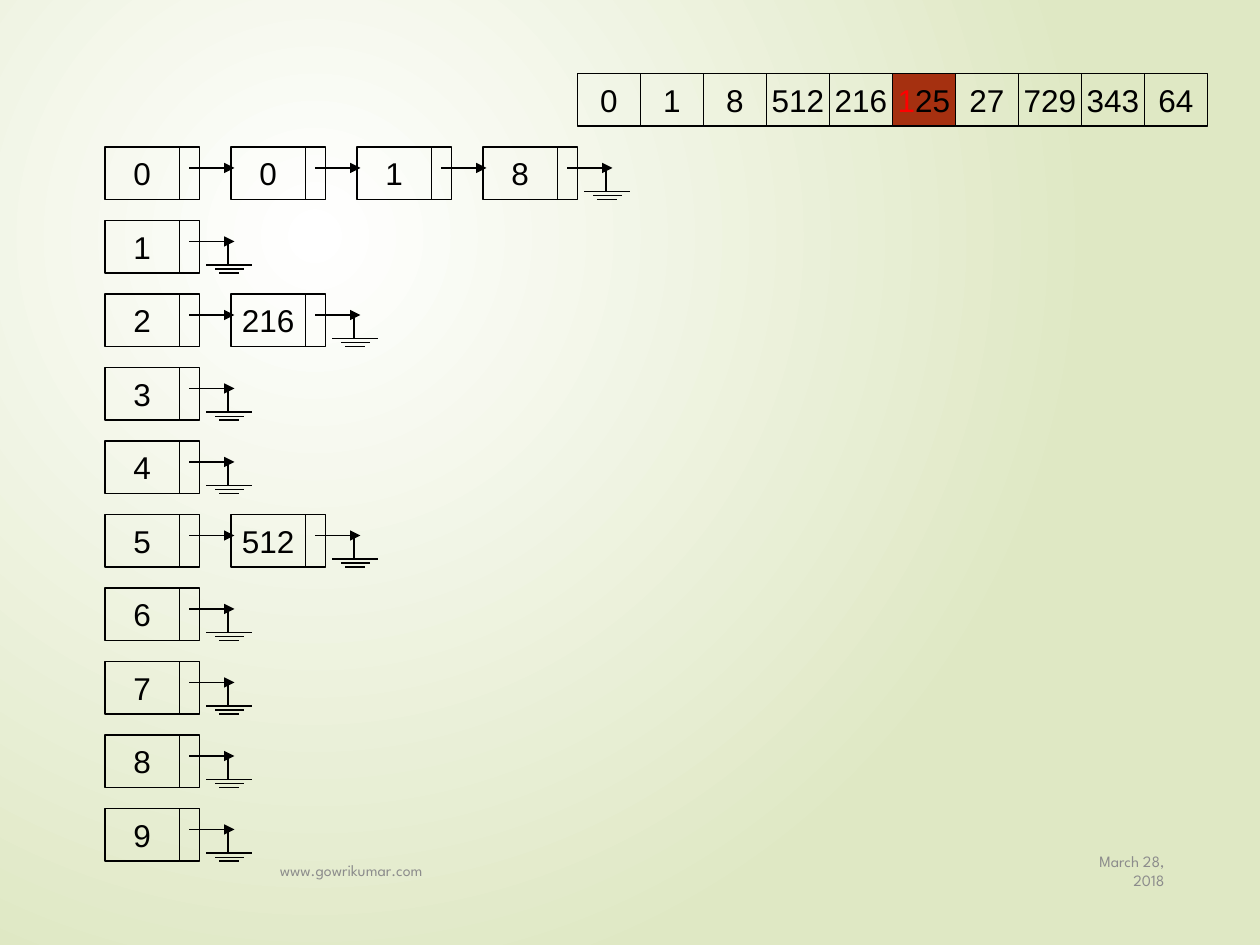
from dataclasses import dataclass
from typing import NamedTuple

from lxml import etree
from pptx import Presentation
from pptx.dml.color import RGBColor
from pptx.enum.shapes import MSO_CONNECTOR, MSO_SHAPE
from pptx.enum.text import MSO_ANCHOR, PP_ALIGN
from pptx.oxml.ns import qn
from pptx.util import Pt

RECT = MSO_SHAPE.RECTANGLE
STRAIGHT = MSO_CONNECTOR.STRAIGHT
LEFT, CENTER, RIGHT = PP_ALIGN.LEFT, PP_ALIGN.CENTER, PP_ALIGN.RIGHT
MIDDLE = MSO_ANCHOR.MIDDLE


@dataclass(frozen=True)
class Theme:
    ink: str = "000000"
    muted: str = "8C8C8C"
    digit: str = "FF0000"
    active: str = "A53010"
    bg_inner: str = "FFFFFF"
    bg_outer: str = "DFE8C4"
    font: str = "Arial"
    footer_font: str = "League Spartan"
    size: float = 18
    footer_size: float = 9
    line: float = 0.75


class Box(NamedTuple):
    x: float
    y: float
    w: float
    h: float


class Bar(NamedTuple):
    x: float
    y: float
    w: float


@dataclass(frozen=True)
class Bucket:
    digit: int
    values: tuple[str, ...] = ()


THEME = Theme()
CELL_H = 30
# Array being sorted, with the value now being read
ARRAY = ["0", "1", "8", "512", "216", "125", "27", "729", "343", "64"]
ACTIVE = 5
ARRAY_X, ARRAY_Y, ARRAY_CELL_W = 330, 42, 36
# Buckets keyed by the hundreds digit
FILLED = {0: ("0", "1", "8"), 2: ("216",), 5: ("512",)}
BUCKETS = [Bucket(d, FILLED.get(d, ())) for d in range(10)]
LIST_X, LIST_Y, NODE_STEP, ROW_STEP = 60, 84, 72, 42
VALUE_W, POINTER_W = 42.5, 11.5
# Offsets inside a node
ARROW = Bar(48, 12, 26)
GROUND = [Bar(58, 25.4, 26), Bar(63, 27.8, 16.5), Bar(65.3, 30, 11.5)]
STEM_X = 70.3


def rgb(color: str) -> RGBColor:
    return RGBColor.from_string(color)


def add_text(shape, text: str, *, font: str = THEME.font, size: float = THEME.size,
             color: str = THEME.ink, align=CENTER, wrap: bool = False,
             lead: int = 0, lead_color: str = THEME.digit) -> None:
    """Write text; the first `lead` characters take lead_color."""
    tf = shape.text_frame
    tf.word_wrap = wrap
    tf.vertical_anchor = MIDDLE
    p = tf.paragraphs[0]
    p.alignment = align
    for part, part_color in ((text[:lead], lead_color), (text[lead:], color)):
        if part:
            r = p.add_run()
            r.text = part
            r.font.name = font
            r.font.size = Pt(size)
            r.font.color.rgb = rgb(part_color)


def add_cell(shapes, box: Box, fill: str | None = None):
    sp = shapes.add_shape(RECT, *map(Pt, box))
    sp.shadow.inherit = False
    if fill:
        sp.fill.solid()
        sp.fill.fore_color.rgb = rgb(fill)
    else:
        sp.fill.background()
    sp.line.color.rgb = rgb(THEME.ink)
    sp.line.width = Pt(THEME.line)
    return sp


def add_line(shapes, x1: float, y1: float, x2: float, y2: float,
             arrow: bool = False) -> None:
    cx = shapes.add_connector(STRAIGHT, Pt(x1), Pt(y1), Pt(x2), Pt(y2))
    cx.line.color.rgb = rgb(THEME.ink)
    cx.line.width = Pt(THEME.line)
    sp_pr = cx._element.spPr
    if arrow:
        etree.SubElement(sp_pr.find(qn("a:ln")), qn("a:tailEnd"), type="triangle")
    etree.SubElement(sp_pr, qn("a:effectLst"))


def add_node(s, x: float, y: float, text: str, last: bool) -> None:
    """Value cell, pointer cell and arrow; the last node ends in a ground sign."""
    shapes = s.shapes.add_group_shape().shapes
    add_text(add_cell(shapes, Box(x, y, VALUE_W, CELL_H)), text)
    add_cell(shapes, Box(x + VALUE_W, y, POINTER_W, CELL_H))
    arrow_y = y + ARROW.y
    add_line(shapes, x + ARROW.x, arrow_y, x + ARROW.x + ARROW.w, arrow_y, arrow=True)
    if last:
        for bar in GROUND:
            add_line(shapes, x + bar.x, y + bar.y, x + bar.x + bar.w, y + bar.y)
        add_line(shapes, x + STEM_X, y + GROUND[0].y, x + STEM_X, arrow_y)


def add_footer(s, box: Box, text: str, align) -> None:
    add_text(s.shapes.add_textbox(*map(Pt, box)), text, font=THEME.footer_font,
             size=THEME.footer_size, color=THEME.muted, align=align, wrap=True)


def set_background(s) -> None:
    fill = s.background.fill
    fill.gradient()
    for stop, color in zip(fill.gradient_stops, (THEME.bg_inner, THEME.bg_outer)):
        stop.color.rgb = rgb(color)
    grad = s._element.find(".//" + qn("a:gradFill"))
    grad.remove(grad.find(qn("a:lin")))
    circle = etree.SubElement(grad, qn("a:path"), {"path": "circle"})
    etree.SubElement(circle, qn("a:fillToRect"),
                     l="50000", t="50000", r="100000", b="100000")


def main() -> None:
    prs = Presentation()
    prs.slide_width, prs.slide_height = Pt(720), Pt(540)
    s = prs.slides.add_slide(prs.slide_layouts[6])
    set_background(s)

    # Date and footer
    add_footer(s, Box(612, 483, 60.5, 29), "March 28, 2018", RIGHT)
    add_footer(s, Box(152.8, 483, 450, 29), "www.gowrikumar.com", LEFT)

    # Array
    for i, value in enumerate(ARRAY):
        active = i == ACTIVE
        box = Box(ARRAY_X + i * ARRAY_CELL_W, ARRAY_Y, ARRAY_CELL_W, CELL_H)
        cell = add_cell(s.shapes, box, THEME.active if active else None)
        add_text(cell, value, lead=int(active))

    # Bucket lists
    for bucket in BUCKETS:
        y = LIST_Y + bucket.digit * ROW_STEP
        for i, text in enumerate((str(bucket.digit), *bucket.values)):
            add_node(s, LIST_X + i * NODE_STEP, y, text, i == len(bucket.values))

    prs.save("out.pptx")


if __name__ == "__main__":
    main()
